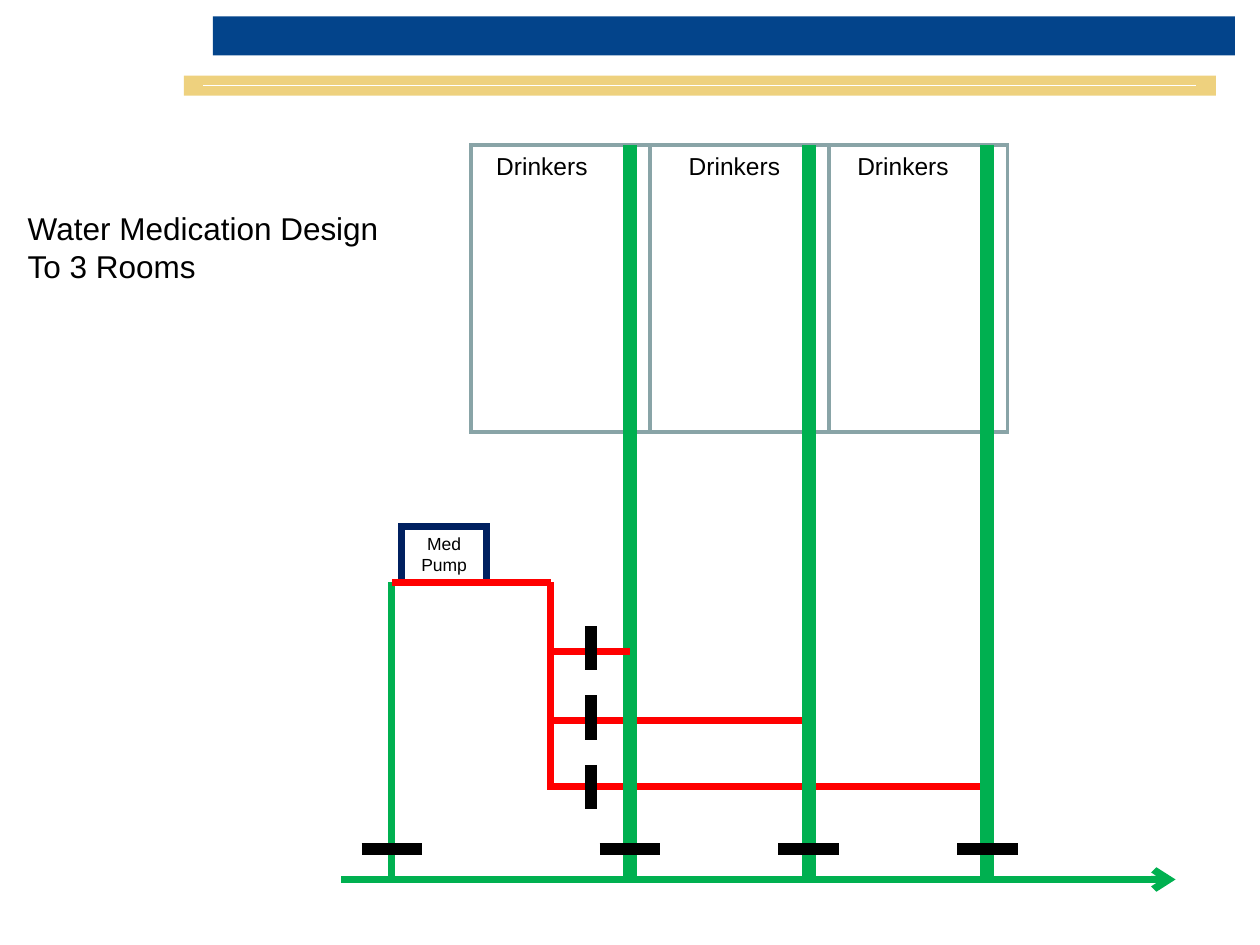
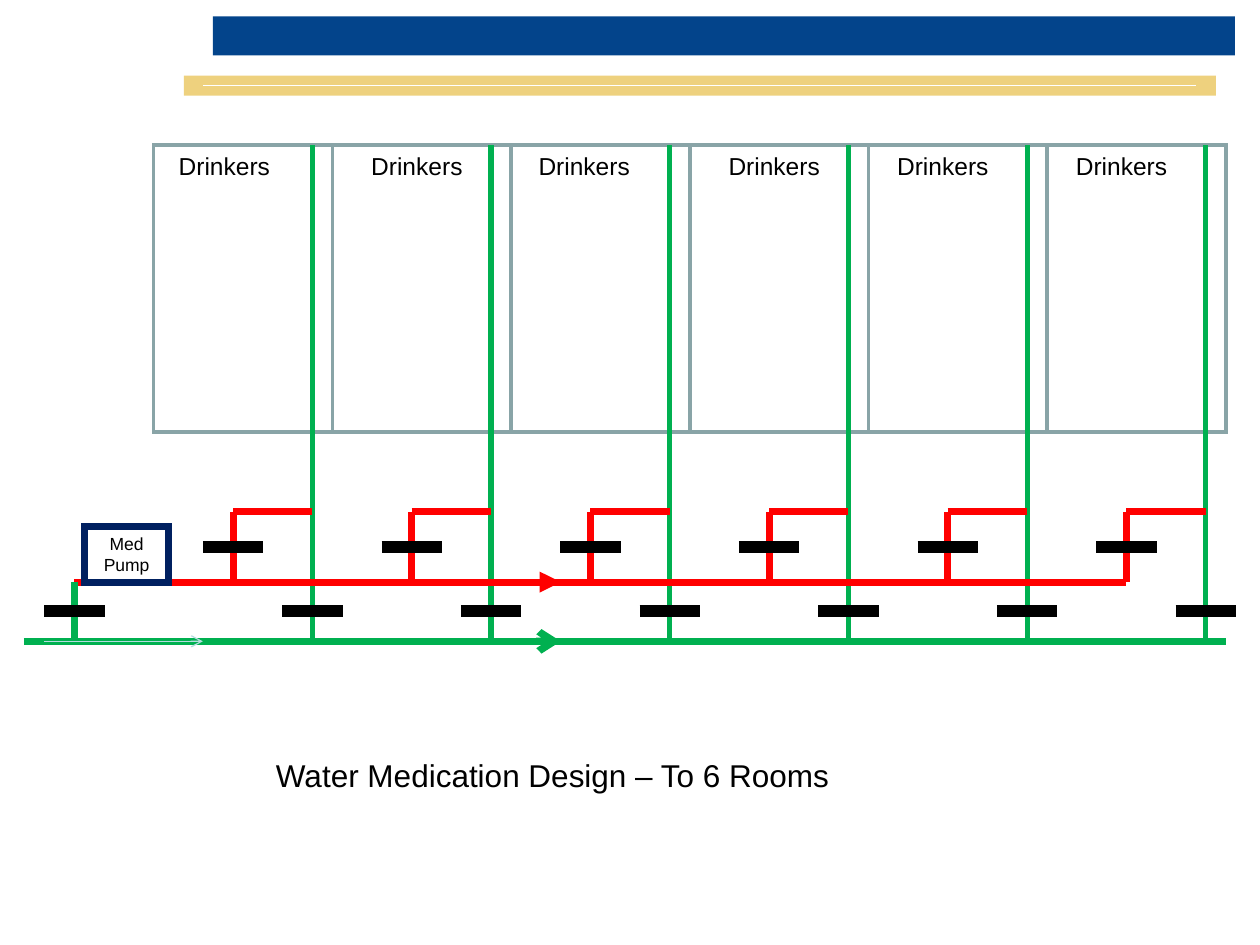
from dataclasses import dataclass
from itertools import pairwise

from lxml.etree import SubElement as Sub
from pptx import Presentation
from pptx.dml.color import RGBColor as Rgb
from pptx.enum.shapes import MSO_CONNECTOR as Link, MSO_SHAPE as Form
from pptx.enum.text import MSO_ANCHOR as Anchor, MSO_AUTO_SIZE as Fit, PP_ALIGN as Align
from pptx.oxml.ns import qn
from pptx.shapes.autoshape import Shape
from pptx.slide import Slide
from pptx.text.text import TextFrame as Frame
from pptx.util import Inches, Pt

FONT = "Arial"
BLACK, WHITE = "000000", "FFFFFF"
BLUE, GOLD = "03448B", "EED17E"
GREEN, RED = "00B050", "FF0000"
GREY, NAVY, PALE = "89A4A7", "002060", "B6DCDF"

TOP = 1.15
WIDE, HIGH = 1.42, 2.28
PITCH = 7.09 / 5
DROP = 1.26
HALF = 0.24
PUMP = 4.62


@dataclass
class Box:
    x: float
    y: float
    w: float
    h: float
    fill: str = ""
    edge: str = ""
    width: float = 0


@dataclass
class Pipe:
    x1: float
    y1: float
    x2: float
    y2: float
    tint: str
    width: float = 4
    head: str = ""


@dataclass
class Room:
    left: float
    inset: float

    @property
    def drop(self) -> float:
        return self.left + DROP


def color(code: str) -> Rgb:
    return Rgb.from_string(code)


def add_box(slide: Slide, box: Box) -> Shape:
    shape = slide.shapes.add_shape(
        Form.RECTANGLE, Inches(box.x), Inches(box.y), Inches(box.w), Inches(box.h))
    shape.shadow.inherit = False
    if box.fill:
        shape.fill.solid()
        shape.fill.fore_color.rgb = color(box.fill)
    else:
        shape.fill.background()
    if box.edge:
        shape.line.color.rgb = color(box.edge)
        shape.line.width = Pt(box.width)
        Sub(shape.get_or_add_ln(), qn("a:miter"), lim="800000")
    else:
        shape.line.fill.background()
    return shape


def add_pipe(slide: Slide, pipe: Pipe) -> None:
    line = slide.shapes.add_connector(
        Link.STRAIGHT, Inches(pipe.x1), Inches(pipe.y1), Inches(pipe.x2), Inches(pipe.y2))
    line.line.color.rgb = color(pipe.tint)
    line.line.width = Pt(pipe.width)
    if pipe.head:
        Sub(line.get_or_add_ln(), qn("a:tailEnd"), type=pipe.head)
    Sub(line.element.spPr, qn("a:effectLst"))


def add_pipes(slide: Slide, pipes: list[Pipe]) -> None:
    for pipe in pipes:
        add_pipe(slide, pipe)


def set_text(frame: Frame, text: str, size: float, align: Align = Align.LEFT,
             wrap: bool = True) -> None:
    frame.text = text
    frame.word_wrap = wrap
    frame.auto_size = Fit.SHAPE_TO_FIT_TEXT
    for para in frame.paragraphs:
        para.alignment = align
        for run in para.runs:
            run.font.name = FONT
            run.font.size = Pt(size)
            run.font.color.rgb = color(BLACK)


def add_slide(deck: Presentation, title: str, spot: Box) -> Slide:
    slide = deck.slides.add_slide(deck.slide_layouts.get_by_name("Title Only"))
    add_box(slide, Box(1.46, 0.6, 8.19, 0.16, GOLD))
    add_pipe(slide, Pipe(1.61, 0.68, 9.49, 0.68, WHITE, 0.75))
    add_box(slide, Box(1.69, 0.13, 8.11, 0.31, BLUE))
    head = slide.shapes.title
    head.left, head.top = Inches(spot.x), Inches(spot.y)
    head.width, head.height = Inches(spot.w), Inches(spot.h)
    set_text(head.text_frame, title, 18)
    head.text_frame.vertical_anchor = Anchor.TOP
    return slide


def add_rooms(slide: Slide, left: float, insets: list[float]) -> list[Room]:
    rooms = [Room(left + i * PITCH, inset) for i, inset in enumerate(insets)]
    for room in rooms:
        add_box(slide, Box(room.left, TOP, WIDE, HIGH, edge=GREY, width=2))
        label = slide.shapes.add_textbox(
            Inches(room.left + room.inset), Inches(TOP), Inches(0.94), Inches(0.34))
        set_text(label.text_frame, "Drinkers", 14, wrap=False)
    return rooms


def add_pump(slide: Slide, x: float) -> None:
    shape = add_box(slide, Box(x, 4.18, 0.67, 0.44, edge=NAVY, width=4))
    set_text(shape.text_frame, "Med Pump", 10, Align.CENTER)


def add_valve(slide: Slide, x: float, y: float) -> None:
    add_pipe(slide, Pipe(x - HALF, y, x + HALF, y, BLACK, 7))


def draw_three(deck: Presentation) -> None:
    slide = add_slide(deck, "Water Medication Design\nTo 3 Rooms", Box(0.12, 1.61, 5.75, 0.7))
    feed, main, split = 3.11, 6.98, 4.37
    rooms = add_rooms(slide, 3.74, [0.1, 0.21, 0.13])
    near, mid, far = [room.drop for room in rooms]
    add_pipes(slide, [
        Pipe(split, 6.24, far, 6.24, RED),
        Pipe(split, 5.72, mid, 5.72, RED),
    ])
    add_pipes(slide, [Pipe(x, main, x, TOP, GREEN, 8) for x in (near, mid, far)])
    add_pump(slide, 3.19)
    joints = [PUMP, 5.17, 5.72, 6.27]
    add_pipes(slide, [Pipe(split, low, split, high, RED) for high, low in pairwise(joints)])
    add_pipes(slide, [
        Pipe(2.71, main, feed, main, GREEN),
        Pipe(feed, main, 9.1, main, GREEN),
        Pipe(8.94, main, 9.33, main, GREEN, head="arrow"),
        Pipe(feed, PUMP, feed, main, GREEN),
        Pipe(split, 5.17, near, 5.17, RED),
        Pipe(feed, PUMP, split, PUMP, RED),
    ])
    for i in range(3):
        top = 4.97 + i * 0.55
        add_pipe(slide, Pipe(4.69, top, 4.69, top + 0.35, BLACK, 7))
    for x in (feed, near, mid, far):
        add_valve(slide, x, 6.74)


def draw_six(deck: Presentation) -> None:
    slide = add_slide(deck, "Water Medication Design – To 6 Rooms", Box(2.09, 5.95, 5.75, 0.4))
    feed, main, bend = 0.59, 5.09, 4.06
    rooms = add_rooms(slide, 1.22, [0.1, 0.21, 0.12, 0.21, 0.13, 0.13])
    add_pipes(slide, [
        Pipe(0.19, main, feed, main, GREEN),
        Pipe(feed, main, 9.73, main, GREEN),
    ])
    add_pipes(slide, [Pipe(room.drop, main, room.drop, TOP, GREEN, 3) for room in rooms])
    add_pipe(slide, Pipe(feed, PUMP, 8.94, PUMP, RED))
    for room in rooms:
        rise = room.drop - 0.63
        add_pipes(slide, [
            Pipe(rise, PUMP, rise, bend, RED),
            Pipe(rise, bend, room.drop, bend, RED),
        ])
        add_valve(slide, rise, 4.34)
        add_valve(slide, room.drop, 4.85)
    add_pipe(slide, Pipe(feed, PUMP, feed, main, GREEN))
    add_valve(slide, feed, 4.85)
    add_pump(slide, 0.67)
    add_pipes(slide, [
        Pipe(0.35, main, 1.61, main, PALE, 0.75, "arrow"),
        Pipe(4.06, PUMP, 4.45, PUMP, RED, head="triangle"),
        Pipe(4.06, main, 4.45, main, GREEN, head="arrow"),
    ])


def main() -> None:
    deck = Presentation()
    deck.slide_width, deck.slide_height = Inches(10), Inches(7.5)
    draw_three(deck)
    draw_six(deck)
    deck.save("out.pptx")


if __name__ == "__main__":
    main()
